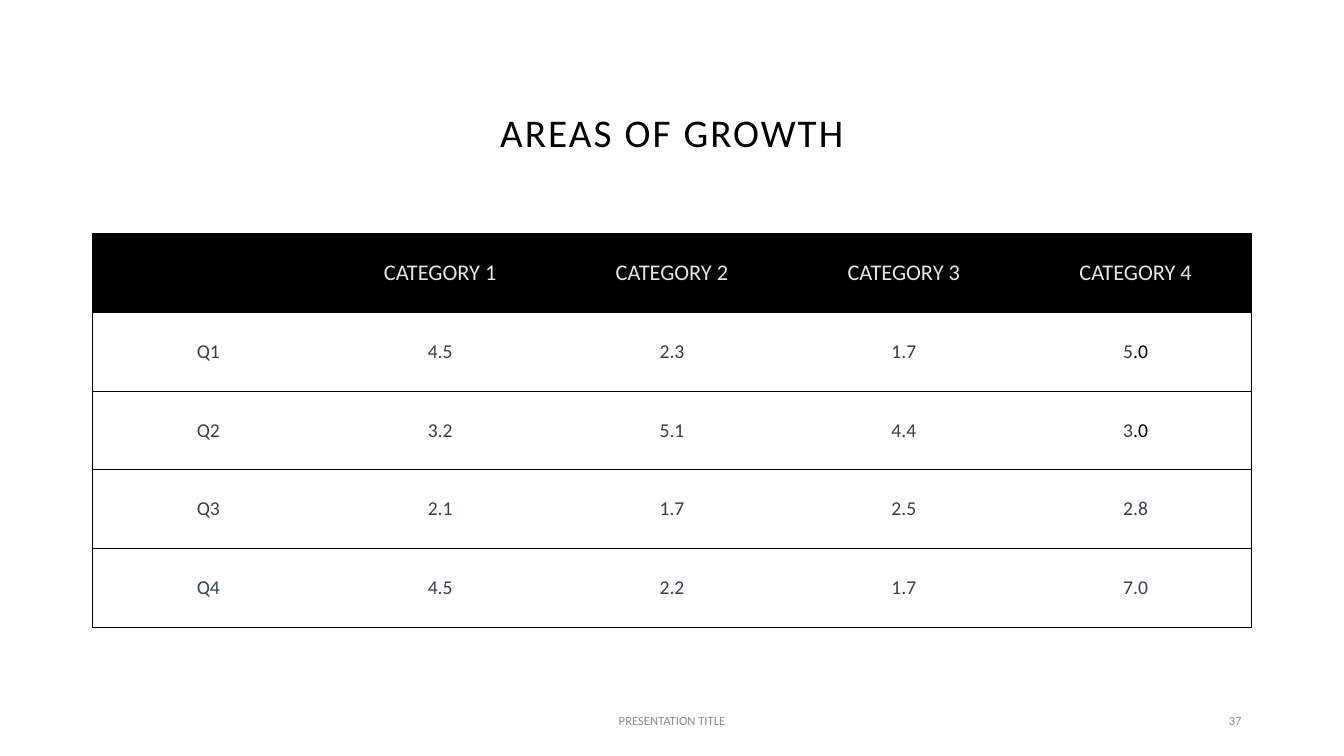
from dataclasses import dataclass

from lxml.etree import SubElement
from pptx import Presentation
from pptx.dml.color import RGBColor
from pptx.enum.text import MSO_ANCHOR as Anchor, MSO_AUTO_SIZE as AutoSize, PP_ALIGN as Align
from pptx.oxml.ns import qn
from pptx.util import Cm, Pt


@dataclass(frozen=True)
class Theme:
    font: str = "Calibri"
    black: str = "000000"
    white: str = "FFFFFF"
    header_text: str = "E9E6DF"
    body_text: str = "333F50"
    footer_text: str = "8C8C8C"
    title_size: float = 28
    header_size: float = 16
    body_size: float = 14
    footer_size: float = 9
    title_spacing: float = 1.5
    border_width: float = 0.5


THEME = Theme()
HEADER = ["", "CATEGORY 1", "CATEGORY 2", "CATEGORY 3", "CATEGORY 4"]
# A tuple holds the dark blue part of a value and its black part.
QUARTERS = [
    ["Q1", "4.5", "2.3", "1.7", ("5", ".0")],
    ["Q2", "3.2", "5.1", "4.4", ("3", ".0")],
    ["Q3", "2.1", "1.7", "2.5", "2.8"],
    ["Q4", "4.5", "2.2", "1.7", "7.0"],
]
MARGIN, CONTENT_WIDTH = 2.33, 29.21
TABLE_TOP, ROW_HEIGHT = 5.87, 1.99
FOOTER_TOP, FOOTER_HEIGHT = 17.65, 1.02


def add_run(p, text, *, size, color, align=Align.CENTER, spacing=None):
    p.alignment = align
    r = p.add_run()
    r.text = text
    r.font.name = THEME.font
    r.font.size = Pt(size)
    r.font.bold = False
    r.font.color.rgb = RGBColor.from_string(color)
    if spacing:
        r.font._element.set("spc", str(round(spacing * 100)))


def set_title(slide, text):
    sp = slide.shapes.title
    sp.left, sp.top = Cm(MARGIN), Cm(0.38)
    sp.width, sp.height = Cm(CONTENT_WIDTH), Cm(3.68)
    tf = sp.text_frame
    tf.auto_size = AutoSize.NONE
    tf.vertical_anchor = Anchor.BOTTOM
    p = tf.paragraphs[0]
    p.line_spacing = 0.9
    add_run(p, text, size=THEME.title_size, color=THEME.black, spacing=THEME.title_spacing)


def add_footer(slide, text, left, width, align):
    sp = slide.shapes.add_textbox(Cm(left), Cm(FOOTER_TOP), Cm(width), Cm(FOOTER_HEIGHT))
    tf = sp.text_frame
    tf.word_wrap = True
    tf.vertical_anchor = Anchor.MIDDLE
    add_run(tf.paragraphs[0], text, size=THEME.footer_size, color=THEME.footer_text, align=align)


def set_borders(cell, visible):
    """Draw the sides named in visible and clear the others; call before filling."""
    tc_pr = cell._tc.get_or_add_tcPr()
    for side in "LRTB":
        ln = SubElement(tc_pr, qn(f"a:ln{side}"), w=str(Pt(THEME.border_width)))
        if side in visible:
            fill = SubElement(ln, qn("a:solidFill"))
            SubElement(fill, qn("a:srgbClr"), val=THEME.black)
        else:
            SubElement(ln, qn("a:noFill"))


def fill_cell(cell, value, *, fill, size, color, borders):
    set_borders(cell, borders)
    cell.fill.solid()
    cell.fill.fore_color.rgb = RGBColor.from_string(fill)
    cell.vertical_anchor = Anchor.MIDDLE
    parts = value if isinstance(value, tuple) else (value,)
    for part, part_color in zip(parts, (color, THEME.black)):
        if part:
            add_run(cell.text_frame.paragraphs[0], part, size=size, color=part_color)


def add_growth_table(slide):
    rows = [HEADER, *QUARTERS]
    last = len(HEADER) - 1
    table = slide.shapes.add_table(
        len(rows), len(HEADER), Cm(MARGIN), Cm(TABLE_TOP),
        Cm(CONTENT_WIDTH), Cm(ROW_HEIGHT * len(rows)),
    ).table
    table.first_row = table.horz_banding = False
    header = dict(fill=THEME.black, size=THEME.header_size, color=THEME.header_text)
    body = dict(fill=THEME.white, size=THEME.body_size, color=THEME.body_text)
    for i, row in enumerate(rows):
        look = body if i else header
        for j, value in enumerate(row):
            borders = "TB" + ("L" if j == 0 else "") + ("R" if j == last else "")
            fill_cell(table.cell(i, j), value, borders=borders, **look)


def main():
    prs = Presentation()
    prs.slide_width, prs.slide_height = Cm(33.87), Cm(19.05)
    slide = prs.slides.add_slide(prs.slide_layouts.get_by_name("Title Only"))
    set_title(slide, "AREAS OF GROWTH")
    add_growth_table(slide)
    add_footer(slide, "PRESENTATION TITLE", 11.22, 11.43, Align.CENTER)
    add_footer(slide, "37", 23.92, 7.62, Align.RIGHT)
    prs.save("out.pptx")


if __name__ == "__main__":
    main()
